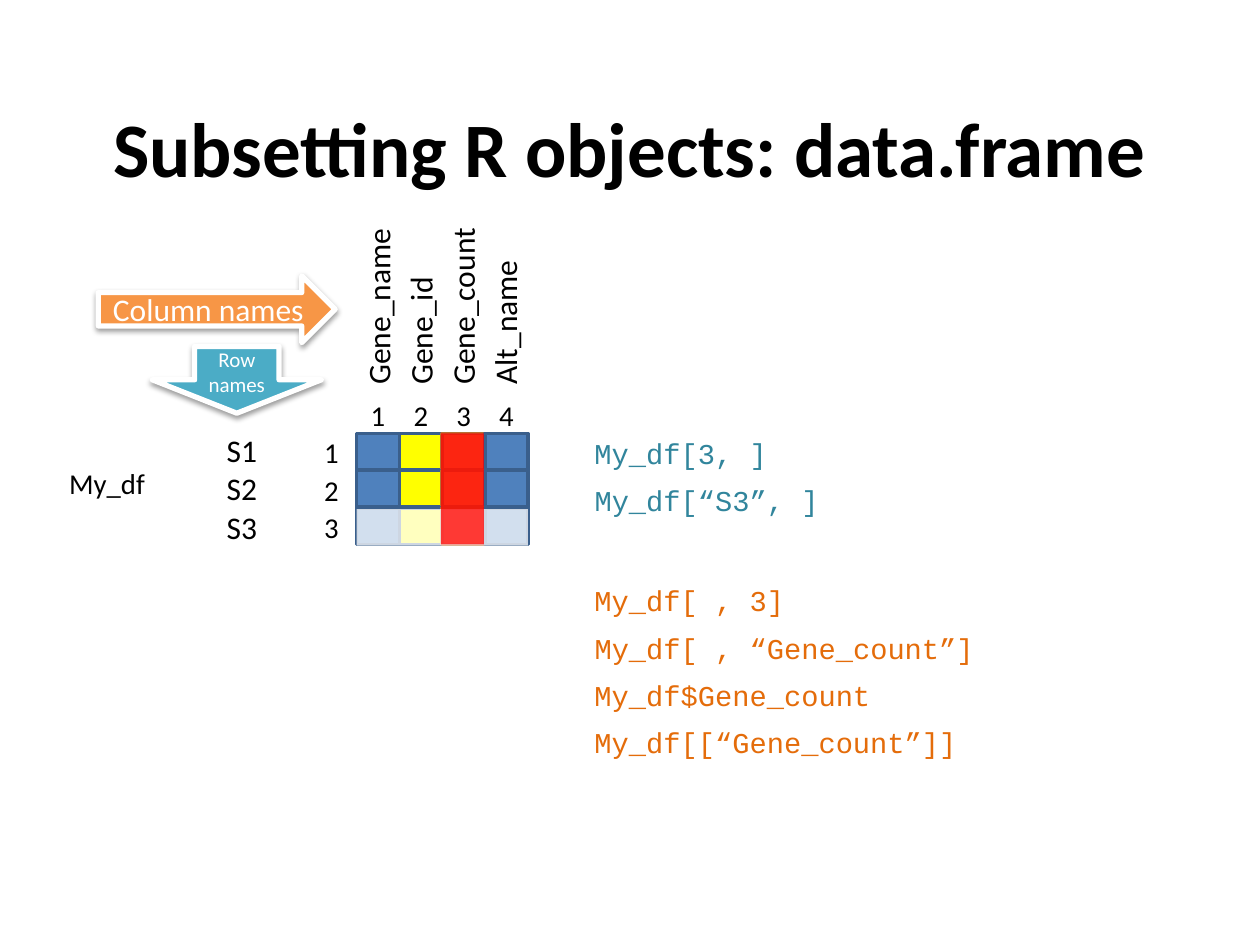
from pptx import Presentation
from pptx.dml.color import RGBColor
from pptx.enum import shapes, text
from pptx.oxml import parse_xml
from pptx.oxml.ns import nsdecls, qn
from pptx.util import Inches, Pt
from lxml import etree

# Content
TITLE = "Subsetting R objects: data.frame"
COLUMNS = [  # name, label length, cell fill, cell line
    ("Gene_name", 1.5, "4F81BD", "3A5F8C"),
    ("Gene_id", 1.16, "FFFF00", "3A5F8C"),
    ("Gene_count", 1.5, "F79646", "B76F34"),
    ("Alt_name", 1.76, "4F81BD", "3A5F8C"),
]
ROWS = ["S1", "S2", "S3"]
TEAL, ORANGE = "31859C", "E46C0A"
CODE = [  # top of the group, colour, (line, box width)
    (3.41, TEAL, [("My_df[3, ]", 1.76), ("My_df[“S3”, ]", 1.98)]),
    (4.58, ORANGE, [("My_df[ , 3]", 1.76), ("My_df[ , “Gene_count”]", 3.39),
                    ("My_df$Gene_count", 2.94), ("My_df[[“Gene_count”]]", 3.17)]),
]
ARROWS = [  # shape, position, fill, lines, text size
    (shapes.MSO_SHAPE.RIGHT_ARROW, (0.78, 2.19, 1.88, 0.53), "F79646", ["Column names"], 18),
    (shapes.MSO_SHAPE.DOWN_ARROW, (1.21, 2.75, 1.34, 0.53), "4BACC6", ["Row", "names"], 12),
]

# Grid
GRID_X, GRID_Y, CELL_W, CELL_H = 2.83, 3.44, 0.34, 0.295
SMALL, LARGE = 16.4, 18
LABEL_BOTTOM = 3.15
CODE_STEP = 0.375

deck = Presentation()
deck.slide_width, deck.slide_height = Inches(10), Inches(7.5)
page = deck.slides.add_slide(deck.slide_layouts[5])


def colour(value):
    return RGBColor.from_string(value)


def write(frame, lines, size, ink="000000", font="Calibri",
          align=text.PP_ALIGN.LEFT, anchor=text.MSO_ANCHOR.TOP, bold=False):
    frame.word_wrap = True
    frame.vertical_anchor = anchor
    for i, line in enumerate(lines):
        para = frame.paragraphs[0] if i == 0 else frame.add_paragraph()
        para.alignment = align
        span = para.add_run()
        span.text = line
        span.font.name, span.font.size, span.font.bold = font, Pt(size), bold
        span.font.color.rgb = colour(ink)


def add_label(place, line, size, **style):
    box = page.shapes.add_textbox(*map(Inches, place))
    write(box.text_frame, [line], size, **style)
    return box


def add_block(kind, place, fill, line=None, width=2, alpha=None):
    box = page.shapes.add_shape(kind, *map(Inches, place))
    box.shadow.inherit = False
    box.fill.solid()
    box.fill.fore_color.rgb = colour(fill)
    if alpha:
        tint = box.fill._xPr.find(qn("a:solidFill"))[0]
        etree.SubElement(tint, qn("a:alpha")).set("val", str(alpha * 1000))
    if line:
        box.line.color.rgb = colour(line)
        box.line.width = Pt(width)
    else:
        box.line.fill.background()
    return box


def add_shadow(box):
    effects = box._element.spPr.find(qn("a:effectLst"))
    effects.append(parse_xml(
        f'<a:outerShdw {nsdecls("a")} blurRad="40000" dist="20000" dir="5400000" '
        'rotWithShape="0"><a:srgbClr val="000000"><a:alpha val="38000"/>'
        '</a:srgbClr></a:outerShdw>'))


# Title
title = page.shapes.title
title.left, title.top, title.width, title.height = map(Inches, (0.5, 0.75, 9, 1.25))
write(title.text_frame, [TITLE], 44, align=text.PP_ALIGN.CENTER, bold=True)

# Data frame cells
RECT = shapes.MSO_SHAPE.RECTANGLE
for r in range(len(ROWS)):
    for c, (_, _, fill, line) in enumerate(COLUMNS):
        add_block(RECT, (GRID_X + c * CELL_W, GRID_Y + r * CELL_H, CELL_W, 0.29), fill, line)

# Highlights: third row faded, third column red
add_block(RECT, (GRID_X, GRID_Y + 2 * CELL_H + 0.01, len(COLUMNS) * CELL_W, 0.29),
          "FFFFFF", alpha=75)
column = add_block(RECT, (3.23, 3.71, 0.88, CELL_W), "FF0000", alpha=75)
column.rotation = 90

# Column numbers and upright names
for c, (name, length, _, _) in enumerate(COLUMNS):
    add_label((GRID_X + c * CELL_W, 3.11, CELL_W, 0.37), str(c + 1), SMALL,
              align=text.PP_ALIGN.CENTER)
    middle_x, middle_y = 3 + c * 0.335, LABEL_BOTTOM - length / 2
    label = add_label((middle_x - length / 2, middle_y - 0.2, length, 0.4), name, LARGE)
    label.rotation = 270

# Row numbers and names
for r, name in enumerate(ROWS):
    add_label((2.46, 3.4 + r * 0.3, CELL_W, 0.37), str(r + 1), SMALL,
              align=text.PP_ALIGN.CENTER)
    add_label((1.7, 3.37 + r * 0.305, 0.51, 0.4), name, LARGE)
add_label((0.45, 3.65, 1.57, 0.37), "My_df", SMALL)

# Arrows
for kind, place, fill, lines, size in ARROWS:
    arrow = add_block(kind, place, fill, "FFFFFF", 3)
    add_shadow(arrow)
    write(arrow.text_frame, lines, size, ink="FFFFFF",
          align=text.PP_ALIGN.CENTER, anchor=text.MSO_ANCHOR.MIDDLE)

# Code examples
for top, ink, lines in CODE:
    for i, (line, width) in enumerate(lines):
        add_label((4.62, top + i * CODE_STEP, width, 0.37), line, SMALL,
                  ink=ink, font="Courier New")

deck.save("out.pptx")
